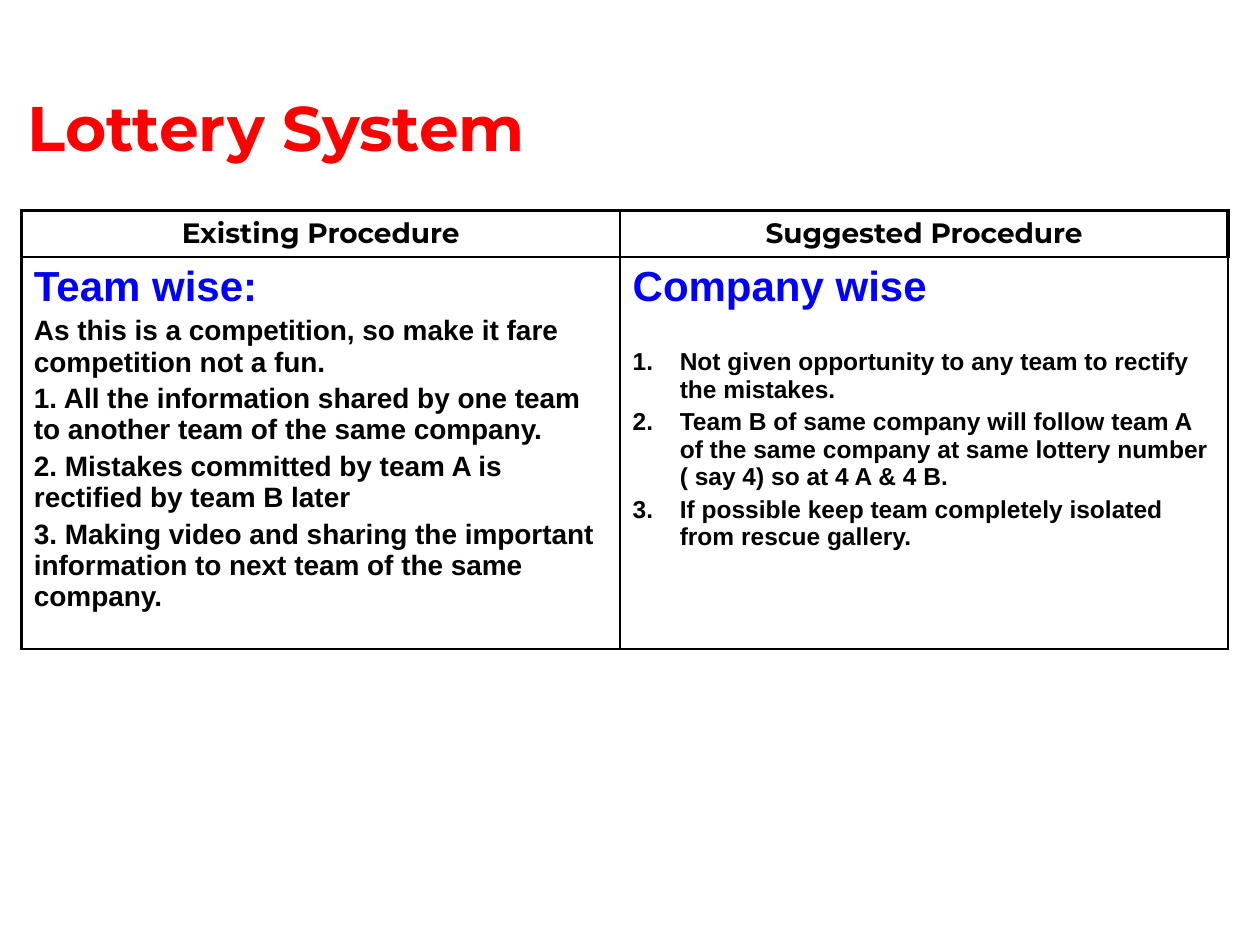
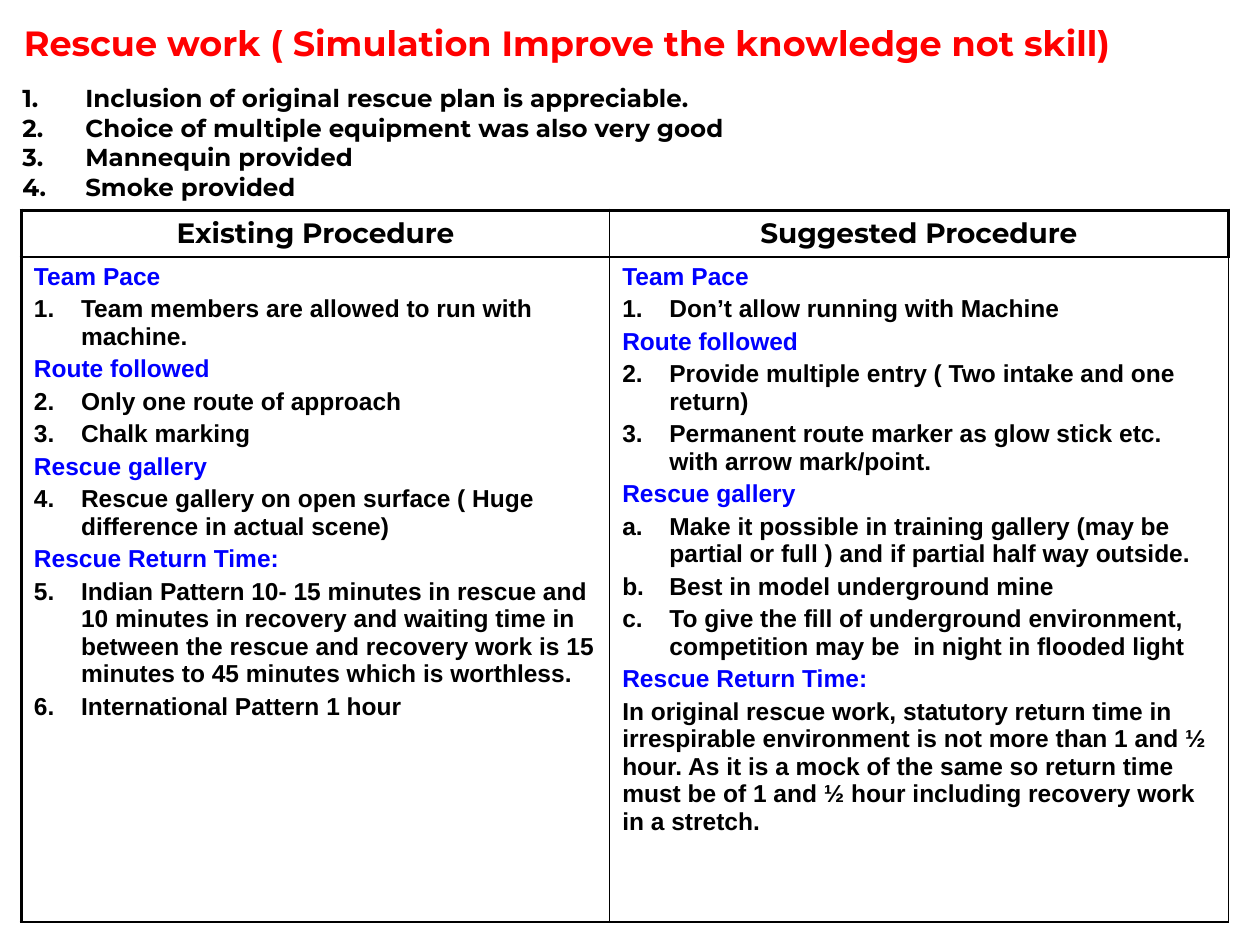
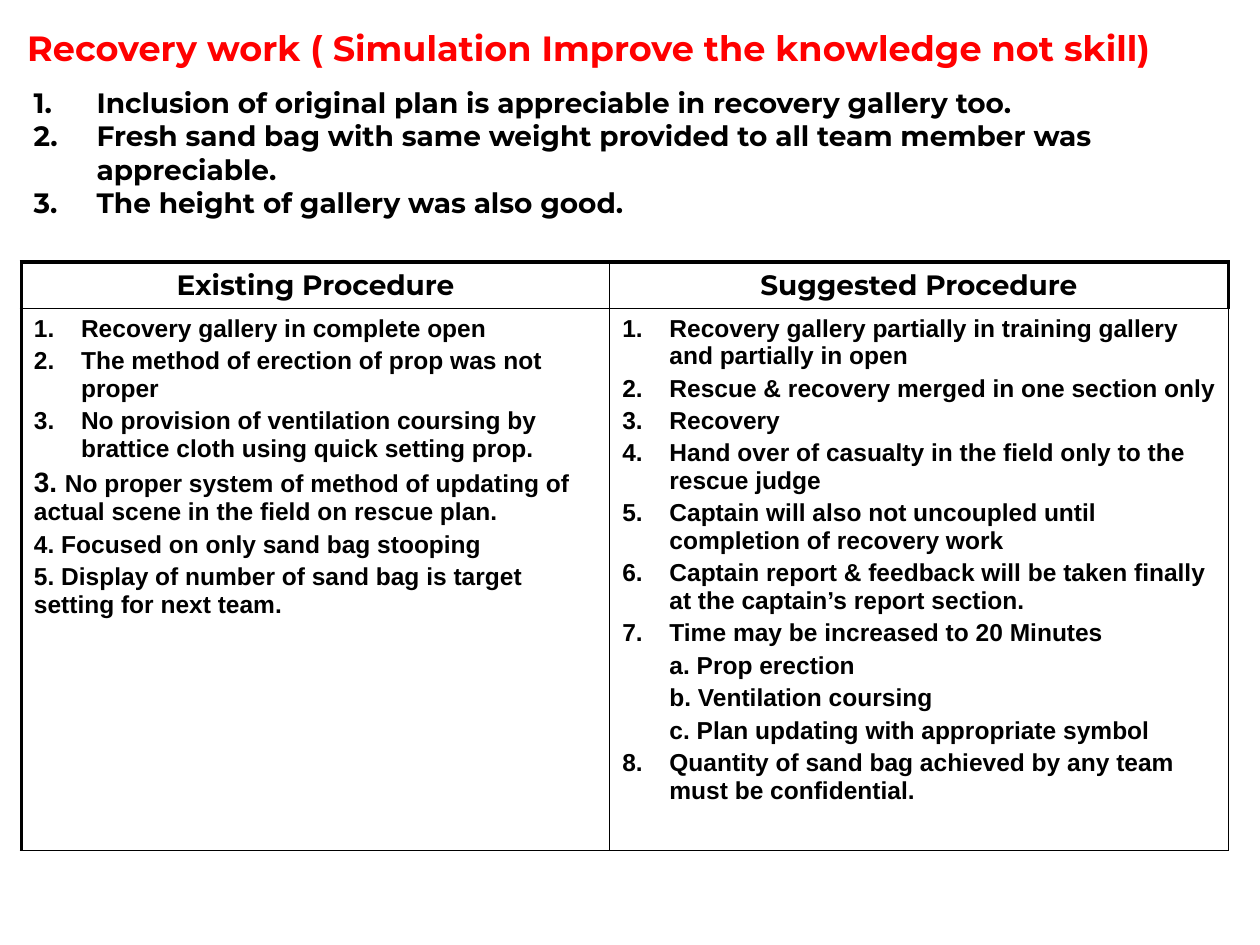
from dataclasses import dataclass

from lxml import etree
from pptx import Presentation
from pptx.dml import color
from pptx.enum import text
from pptx.oxml import ns
from pptx.util import Cm, Pt

# Shared look
RED, BLUE, BLACK = "FF0000", "0000FF", "000000"
DISPLAY, BODY = "Montserrat", "Arial"
FULL_WIDTH = 24.33
TABLE_LEFT = 0.43
HEADER_HEIGHT = 0.94
CELL_INDENT, LIST_INDENT = 0.95, 1.27
THICK, THIN = 2.25, 1
HEADINGS = ("Existing Procedure", "Suggested Procedure")
NUMBERS, LETTERS = "arabicPeriod", "alphaLcPeriod"


@dataclass
class Line:
    words: str
    size: float = 14
    tint: str = BLACK
    numbering: str = ""
    indent: float = 0
    gap: float = 0  # extra space above, in points
    lead: str = ""  # larger opening words


def topic(words, size=14):
    return Line(words, size, BLUE)


def numbered(*entries, style=NUMBERS, gap=0):
    return [Line(words, numbering=style, indent=CELL_INDENT, gap=0 if i else gap)
            for i, words in enumerate(entries)]


# Text
def rgb(hex_code):
    return color.RGBColor.from_string(hex_code)


def style_font(font, size, tint, face):
    font.size, font.bold, font.name = Pt(size), True, face
    font.color.rgb = rgb(tint)


def number_paragraph(paragraph, style, start, indent):
    props = paragraph._p.get_or_add_pPr()
    props.set("marL", str(Cm(indent)))
    props.set("indent", str(-Cm(indent)))
    bullet = etree.SubElement(props, ns.qn("a:buAutoNum"), type=style)
    if start > 1:
        bullet.set("startAt", str(start))


def write_lines(frame, lines, face, spacing=0.2):
    """Write the lines; numbering carries on after lines without a number."""
    counts, start, previous = {}, 1, ""
    for i, line in enumerate(lines):
        paragraph = frame.add_paragraph() if i else frame.paragraphs[0]
        if line.numbering:
            if line.numbering != previous:
                start = counts.get(line.numbering, 0) + 1
            counts[line.numbering] = counts.get(line.numbering, 0) + 1
            number_paragraph(paragraph, line.numbering, start, line.indent)
        elif line.indent:
            paragraph._p.get_or_add_pPr().set("marL", str(Cm(line.indent)))
        previous = line.numbering
        if i and (spacing or line.gap):
            paragraph.space_before = Pt(round(spacing * line.size + line.gap, 2))
        if line.lead:
            opening = paragraph.add_run()
            opening.text = line.lead
            style_font(opening.font, line.size + 2, line.tint, face)
        run = paragraph.add_run()
        run.text = line.words
        style_font(run.font, line.size, line.tint, face)


def add_text(slide, lines, left, top, width, height):
    frame = slide.shapes.add_textbox(Cm(left), Cm(top), Cm(width), Cm(height)).text_frame
    frame.word_wrap = True
    frame.vertical_anchor = text.MSO_ANCHOR.MIDDLE
    write_lines(frame, lines, DISPLAY, spacing=0)


def add_title(slide, words, left, top, size=20, width=FULL_WIDTH, height=1.7):
    add_text(slide, [Line(words, size, RED)], left, top, width, height)


def add_remarks(slide, remarks, size, left, top):
    lines = [Line(words, size, numbering=NUMBERS, indent=LIST_INDENT) for words in remarks]
    add_text(slide, lines, left, top, FULL_WIDTH, 3.6)


# Table
def set_borders(cell, **widths):
    props = cell._tc.get_or_add_tcPr()
    for side in "LRTB":
        edge = etree.SubElement(props, ns.qn(f"a:ln{side}"), w=str(Pt(widths[side])))
        fill = etree.SubElement(edge, ns.qn("a:solidFill"))
        etree.SubElement(fill, ns.qn("a:srgbClr"), val=BLACK)


def add_comparison(slide, existing, suggested, top, height, first_column=11.86):
    table = slide.shapes.add_table(2, 2, Cm(TABLE_LEFT), Cm(top),
                                   Cm(FULL_WIDTH), Cm(height)).table
    table.first_row = table.horz_banding = False
    for column, width in zip(table.columns, (first_column, FULL_WIDTH - first_column)):
        column.width = Cm(width)
    for row, row_height in zip(table.rows, (HEADER_HEIGHT, height - HEADER_HEIGHT)):
        row.height = Cm(row_height)

    for c, (heading, content) in enumerate(zip(HEADINGS, (existing, suggested))):
        header, body = table.cell(0, c), table.cell(1, c)
        left = THIN if c else THICK
        set_borders(header, L=left, R=THICK if c else THIN, T=THICK, B=THIN)
        set_borders(body, L=left, R=THIN, T=THIN, B=THIN)
        for cell in (header, body):
            cell.fill.background()
        write_lines(header.text_frame, [Line(heading, 16)], DISPLAY)
        header.text_frame.paragraphs[0].alignment = text.PP_ALIGN.CENTER
        write_lines(body.text_frame, content, BODY)


# Slides
def lottery(slide):
    existing = [
        topic("Team wise:", 24),
        Line("As this is a competition, so make it fare competition not a fun.", 16),
        Line("1. All the information shared by one team to another team of the same company.", 16),
        Line("2. Mistakes committed by team A is rectified by team B later", 16),
        Line("3. Making video and sharing the important information to next team "
             "of the same company.", 16),
    ]
    suggested = [
        topic("Company wise", 24),
        *numbered(
            "Not given opportunity to any team to rectify the mistakes.",
            "Team B of same company will follow team A of the same company at same "
            "lottery number ( say 4) so at 4 A & 4 B.",
            "If possible keep team completely isolated from rescue gallery.",
            gap=19),
    ]
    add_comparison(slide, existing, suggested, 4.24, 8.84, first_column=12.07)
    add_title(slide, "Lottery System", 0.3, 1.65, size=36, width=11.33, height=1.8)


def rescue(slide):
    existing = [
        topic("Team Pace"),
        *numbered("Team members are allowed to run with machine."),
        topic("Route followed"),
        *numbered("Only one route of approach", "Chalk marking"),
        topic("Rescue gallery"),
        *numbered("Rescue gallery on open surface ( Huge difference in actual scene)"),
        topic("Rescue Return Time:"),
        *numbered(
            "Indian Pattern 10- 15 minutes in rescue and 10 minutes in recovery and waiting "
            "time in between the rescue and recovery work is 15 minutes to 45 minutes "
            "which is worthless.",
            "International Pattern 1 hour"),
    ]
    suggested = [
        topic("Team Pace"),
        *numbered("Don’t allow running with Machine"),
        topic("Route followed"),
        *numbered("Provide multiple entry ( Two intake and one return)",
                  "Permanent route marker as glow stick etc. with arrow mark/point."),
        topic("Rescue gallery"),
        *numbered(
            "Make it possible in training gallery (may be partial or full ) and if partial "
            "half way outside.",
            "Best in model underground mine",
            "To give the fill of underground environment, competition may be  in night "
            "in flooded light",
            style=LETTERS),
        topic("Rescue Return Time:"),
        Line("In original rescue work, statutory return time in irrespirable environment is "
             "not more than 1 and ½ hour. As it is a mock of the same so return time must be "
             "of 1 and ½ hour including recovery work in a stretch."),
    ]
    remarks = ("Inclusion of original rescue plan is appreciable.",
               "Choice of multiple equipment was also very good",
               "Mannequin provided",
               "Smoke provided")
    add_comparison(slide, existing, suggested, 4.24, 14.35)
    add_remarks(slide, remarks, 14, 0.2, 1.07)
    add_title(slide, "Rescue work ( Simulation Improve the knowledge not skill)", 0.23, 0)


def recovery(slide):
    existing = [
        *numbered(
            "Recovery gallery in complete open",
            "The method of erection of prop was not proper",
            "No provision of ventilation coursing by brattice cloth using quick setting prop."),
        Line("No proper system of method of updating of actual scene in the field "
             "on rescue plan.", lead="3. "),
        Line("4. Focused on only sand bag stooping"),
        Line("5. Display of number of sand bag is target setting for next team."),
    ]
    time_uses = ("a. Prop erection", "b. Ventilation coursing",
                 "c. Plan updating with appropriate symbol")
    suggested = [
        *numbered(
            "Recovery gallery partially in training gallery and partially in open",
            "Rescue & recovery merged in one section only",
            "Recovery",
            "Hand over of casualty in the field only to the rescue judge",
            "Captain will also not uncoupled until completion of recovery work",
            "Captain report & feedback will be taken finally at the captain’s report section.",
            "Time may be increased to 20 Minutes"),
        *[Line(use, indent=CELL_INDENT) for use in time_uses],
        *numbered("Quantity of sand bag achieved by any team must be confidential."),
    ]
    remarks = ("Inclusion of original plan is appreciable in recovery gallery too.",
               "Fresh sand bag with same weight provided to all team member was appreciable.",
               "The height of gallery was also good.")
    add_comparison(slide, existing, suggested, 5.28, 11.86)
    add_remarks(slide, remarks, 16, 0.43, 1.27)
    add_title(slide, "Recovery work ( Simulation Improve the knowledge not skill)", 0.3, 0.1)


def main():
    deck = Presentation()
    deck.slide_width, deck.slide_height = Cm(25.4), Cm(19.05)
    for build in (lottery, rescue, recovery):
        build(deck.slides.add_slide(deck.slide_layouts[6]))
    deck.save("out.pptx")


if __name__ == "__main__":
    main()
